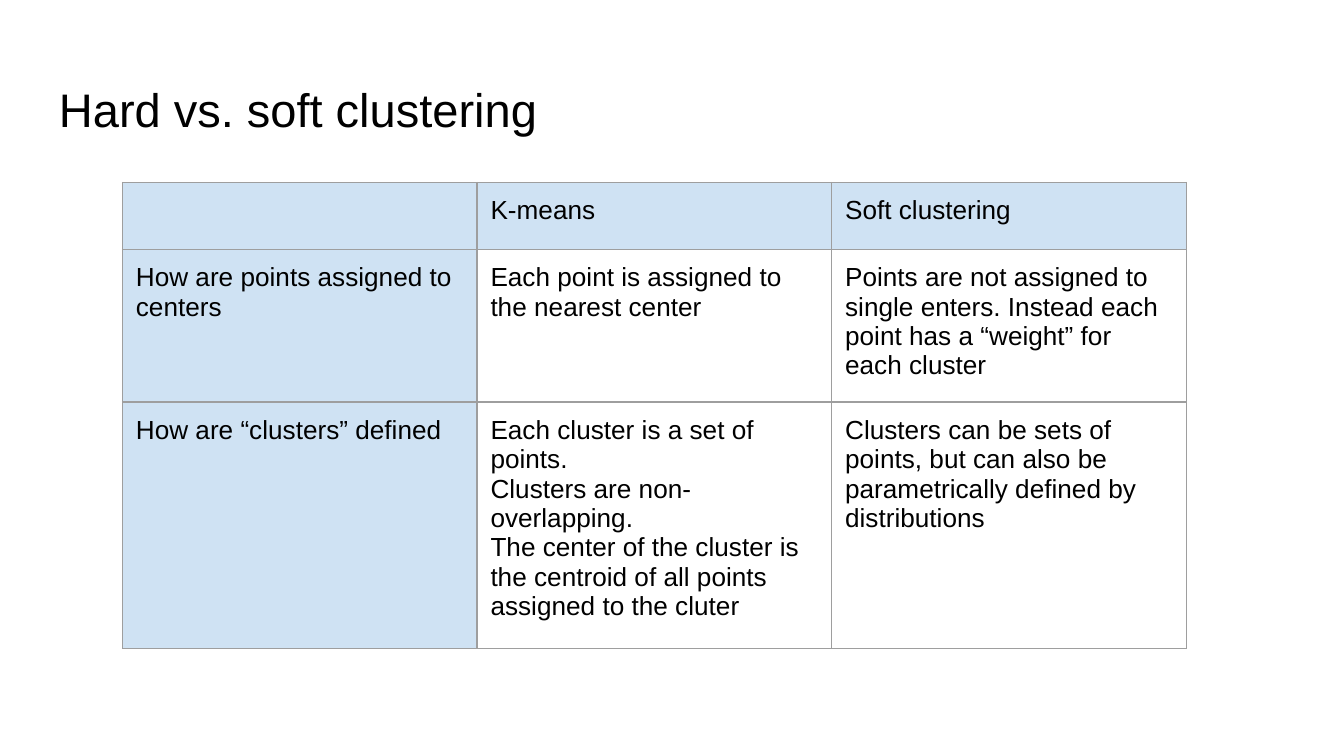
import pptx
import pptx.util
import pptx.dml.color
import pptx.enum.text
import pptx.oxml
import pptx.oxml.ns
import lxml.etree

Pt = pptx.util.Pt
FONT = "Arial"
PAD = Pt(7.2)
HUES = {"text": "000000", "head": "CFE2F3", "edge": "9E9E9E"}

# Each cell is a list of paragraphs
ROWS = [
    [[], ["K-means"], ["Soft clustering"]],
    [
        ["How are points assigned to centers"],
        ["Each point is assigned to the nearest center"],
        ["Points are not assigned to single enters. Instead each point "
         "has a “weight” for each cluster"],
    ],
    [
        ["How are “clusters” defined"],
        ["Each cluster is a set of points.",
         "Clusters are non-overlapping.",
         "The center of the cluster is the centroid of all points "
         "assigned to the cluter"],
        ["Clusters can be sets of points, but can also be "
         "parametrically defined by distributions"],
    ],
]
WIDTH = 190
HIGHS = [34.8, 77.2, 124.6]


def color(name):
    return pptx.dml.color.RGBColor.from_string(HUES[name])


def add_text(frame, lines, size):
    frame.word_wrap = True
    for i, line in enumerate(lines):
        para = frame.paragraphs[0] if i == 0 else frame.add_paragraph()
        run = para.add_run()
        run.text = line
        run.font.name = FONT
        run.font.size = Pt(size)
        run.font.color.rgb = color("text")


def set_pad(item):
    item.margin_left = item.margin_right = PAD
    item.margin_top = item.margin_bottom = PAD


def add_title(slide, text):
    box = slide.shapes.add_textbox(Pt(24.5), Pt(35.3), Pt(671), Pt(45.4))
    frame = box.text_frame
    set_pad(frame)
    frame.vertical_anchor = pptx.enum.text.MSO_ANCHOR.BOTTOM
    add_text(frame, [text], 25.2)


def set_edges(cell):
    # Borders must come before the fill in the cell properties
    props = cell._tc.get_or_add_tcPr()
    qn = pptx.oxml.ns.qn
    for i, side in enumerate(("lnL", "lnR", "lnT", "lnB")):
        line = lxml.etree.Element(qn("a:" + side), w=str(Pt(0.75)))
        fill = lxml.etree.SubElement(line, qn("a:solidFill"))
        lxml.etree.SubElement(fill, qn("a:srgbClr"), val=HUES["edge"])
        props.insert(i, line)


def add_grid(slide):
    count = len(ROWS[0])
    table = slide.shapes.add_table(
        len(ROWS), count, Pt(65.6), Pt(97.7),
        Pt(WIDTH * count), Pt(sum(HIGHS))).table
    for col in table.columns:
        col.width = Pt(WIDTH)
    for r, (row, high) in enumerate(zip(ROWS, HIGHS)):
        table.rows[r].height = Pt(high)
        for c, lines in enumerate(row):
            cell = table.cell(r, c)
            set_pad(cell)
            add_text(cell.text_frame, lines, 14)
            # Shade the header row and the first column
            if r == 0 or c == 0:
                cell.fill.solid()
                cell.fill.fore_color.rgb = color("head")
            else:
                cell.fill.background()
            set_edges(cell)


def main():
    deck = pptx.Presentation()
    deck.slide_width, deck.slide_height = Pt(720), Pt(405)
    slide = deck.slides.add_slide(deck.slide_layouts[6])
    add_title(slide, "Hard vs. soft clustering")
    add_grid(slide)
    deck.save("out.pptx")


if __name__ == "__main__":
    main()
